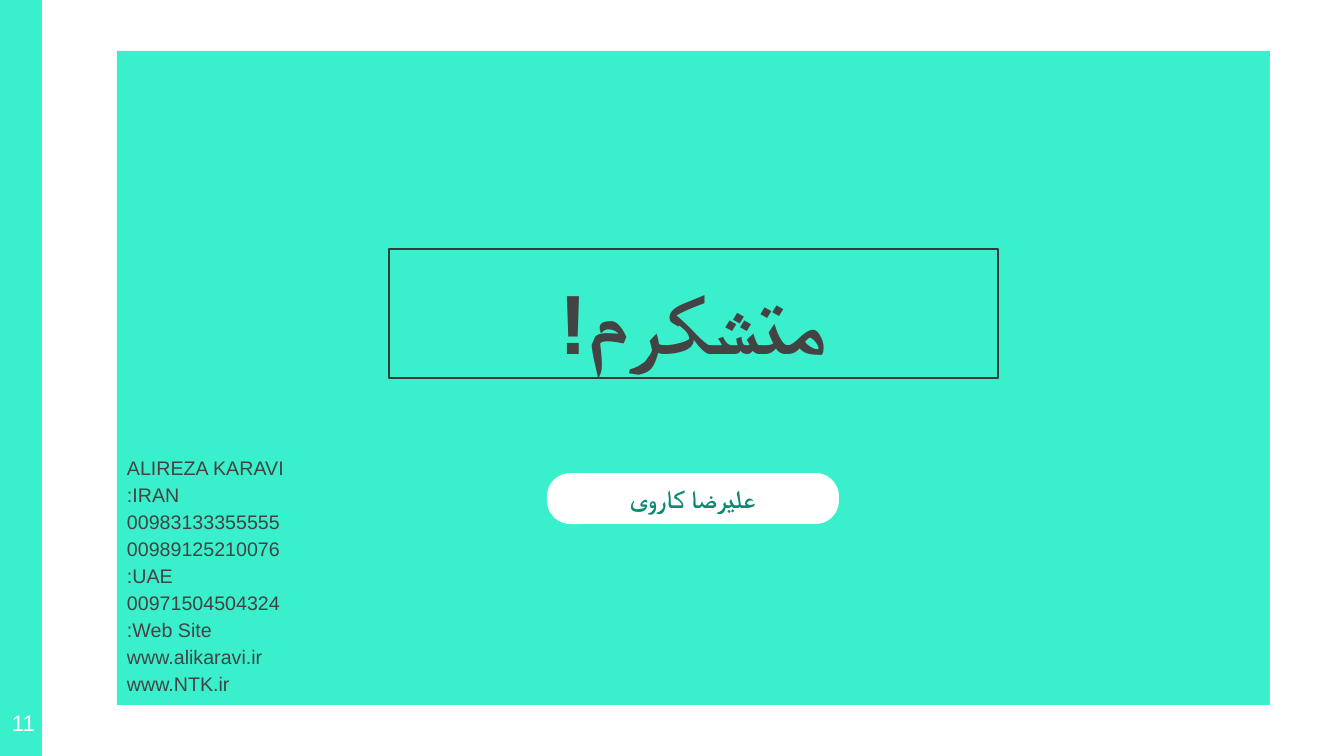
from dataclasses import dataclass

from lxml import etree
from pptx import Presentation
from pptx import util as u
from pptx.dml.color import RGBColor
from pptx.enum import shapes, text
from pptx.oxml import ns

EMU_PER_PX = 12192000 / 1344
TEAL, WHITE, INK, FRAME, GREEN = "3AEFCC", "FFFFFF", "434343", "36393B", "0B8971"
CENTER, LEFT = text.PP_ALIGN.CENTER, text.PP_ALIGN.LEFT
CONTACTS = (
    "ALIREZA KARAVI",
    "IRAN:",
    "00983133355555",
    "00989125210076",
    "UAE:",
    "00971504504324",
    "Web Site:",
    "www.alikaravi.ir",
    "www.NTK.ir",
)


@dataclass(frozen=True)
class Area:
    left: int
    top: int
    width: int
    height: int

    def emu(self) -> list[int]:
        return [px(v) for v in (self.left, self.top, self.width, self.height)]


@dataclass(frozen=True)
class Style:
    size: int
    color: str
    font: str = "Arial"
    bold: bool = False
    align: text.PP_ALIGN = LEFT
    spacing: float = 1.0
    rtl: bool = True
    margin_x: int = 10
    margin_y: int = 5
    anchor: text.MSO_ANCHOR = text.MSO_ANCHOR.MIDDLE


def px(value: int) -> int:
    return round(value * EMU_PER_PX)


def rgb(color: str) -> RGBColor:
    return RGBColor.from_string(color)


def apply(target, values: dict) -> None:
    for name, value in values.items():
        setattr(target, name, value)


def add_block(page, area: Area, color: str, kind=shapes.MSO_SHAPE.RECTANGLE):
    """Add a borderless filled shape."""
    block = page.shapes.add_shape(kind, *area.emu())
    block.shadow.inherit = False
    block.fill.solid()
    block.fill.fore_color.rgb = rgb(color)
    block.line.fill.background()
    return block


def write(box, lines: tuple[str, ...], style: Style) -> None:
    frame = box.text_frame
    apply(frame, {
        "word_wrap": True,
        "auto_size": text.MSO_AUTO_SIZE.NONE,
        "vertical_anchor": style.anchor,
        "margin_left": px(style.margin_x),
        "margin_right": px(style.margin_x),
        "margin_top": px(style.margin_y),
        "margin_bottom": px(style.margin_y),
    })
    for index, line in enumerate(lines):
        para = frame.add_paragraph() if index else frame.paragraphs[0]
        apply(para, {"alignment": style.align, "line_spacing": style.spacing})
        if style.rtl:
            para._p.get_or_add_pPr().set("rtl", "1")
        span = para.add_run()
        span.text = line
        apply(span.font, {"size": u.Pt(style.size), "name": style.font, "bold": style.bold})
        span.font.color.rgb = rgb(style.color)
        script_font = etree.SubElement(span.font._element, ns.qn("a:cs"))
        script_font.set("typeface", style.font)


def add_text(page, area: Area, lines: tuple[str, ...], style: Style) -> None:
    write(page.shapes.add_textbox(*area.emu()), lines, style)


def main() -> None:
    deck = Presentation()
    apply(deck, {"slide_width": px(1344), "slide_height": px(756)})
    page = deck.slides.add_slide(deck.slide_layouts[5])

    add_block(page, Area(0, 0, 42, 756), TEAL)
    panel = add_block(page, Area(117, 51, 1153, 654), TEAL)

    title = page.shapes.title
    panel.element.addnext(title.element)
    apply(title, dict(zip(("left", "top", "width", "height"), Area(389, 249, 609, 129).emu())))
    title.line.color.rgb = rgb(FRAME)
    title.line.width = u.Pt(1.5)
    write(title, ("متشکرم!",), Style(60, INK, bold=True, align=CENTER, spacing=1.15,
                                     margin_x=13, margin_y=13))

    pill = add_block(page, Area(547, 473, 292, 51), WHITE, shapes.MSO_SHAPE.ROUNDED_RECTANGLE)
    pill.adjustments[0] = 0.46
    write(pill, ("علیرضا کاروی",), Style(18, GREEN, "Cabin", bold=True, align=CENTER))

    top = text.MSO_ANCHOR.TOP
    add_text(page, Area(2, 704, 47, 42), ("11",), Style(16, WHITE, rtl=False, anchor=top))
    add_text(page, Area(117, 447, 610, 283), CONTACTS, Style(14, INK, spacing=1.15, anchor=top))

    deck.save("out.pptx")


if __name__ == "__main__":
    main()
